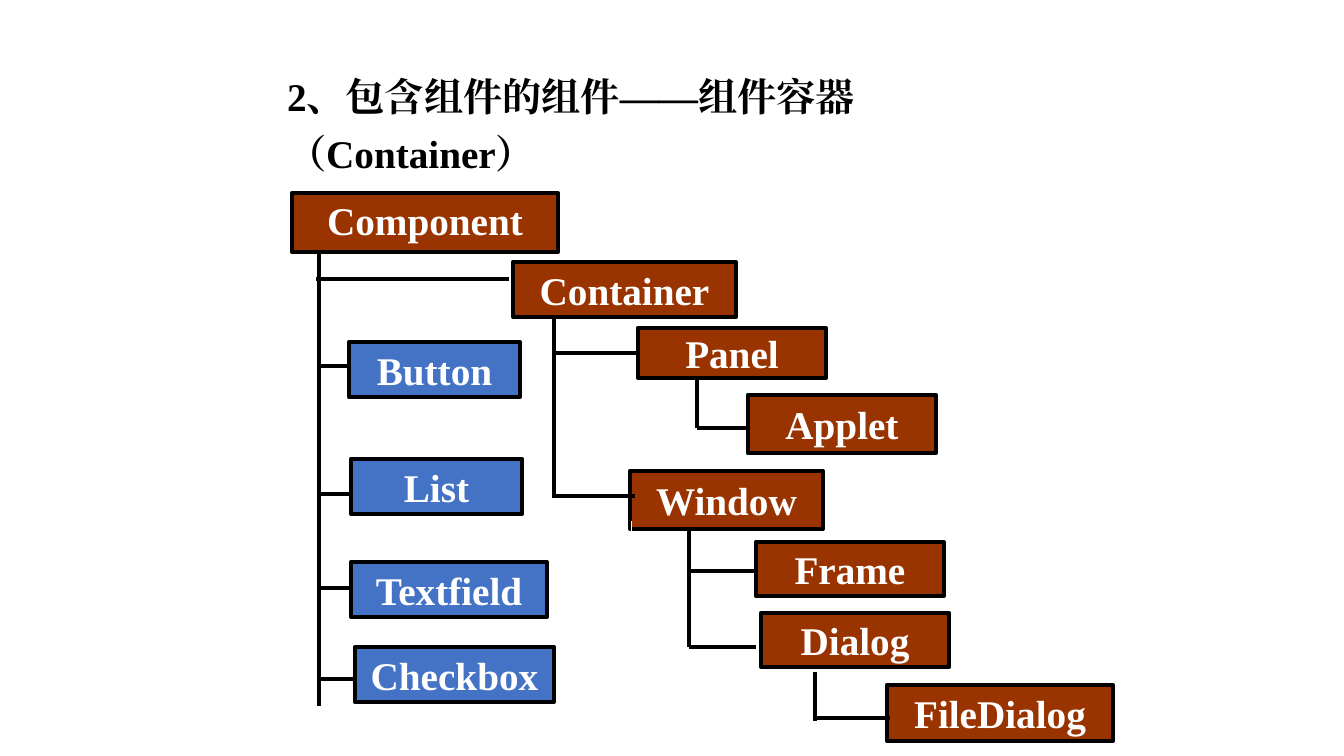
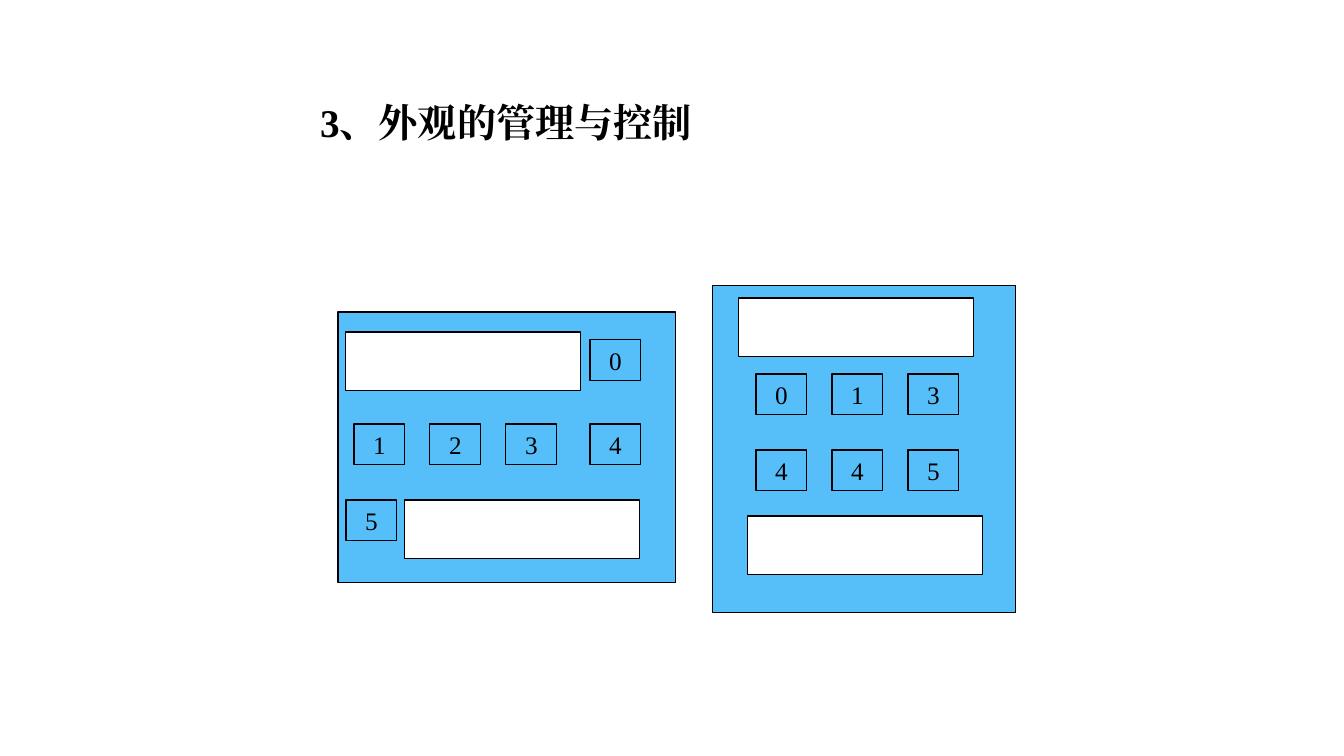
from dataclasses import dataclass

import pptx
import pptx.dml.color
import pptx.enum.shapes
import pptx.enum.text
import pptx.oxml.ns
import pptx.slide
import pptx.util
from lxml import etree

SCALE = 914400 / 100.8  # EMU in one pixel
FONT = "Times New Roman"
COLORS = {
    "black": "000000",
    "white": "FFFFFF",
    "brown": "993300",
    "blue": "4472C4",
    "sky": "56BFFA",
}


@dataclass(frozen=True)
class Box:
    """A rectangle in pixels with its label and look."""
    left: int
    top: int
    width: int
    height: int
    text: str = ""
    fill: str = "brown"
    line_width: float = 3
    text_color: str = "white"
    size: int = 28
    bold: bool = True
    spacing: float = 1.0


@dataclass(frozen=True)
class Line:
    """A straight line between two points in pixels."""
    x1: int
    y1: int
    x2: int
    y2: int
    color: str = "black"
    width: float = 3


def emu(pixels: float) -> int:
    """Turn pixels into EMU."""
    return round(pixels * SCALE)


def rgb(name: str) -> pptx.dml.color.RGBColor:
    """Look up a colour by name."""
    return pptx.dml.color.RGBColor.from_string(COLORS[name])


def write_text(shape, text: str, *, size: int, color: str, bold: bool = False,
               align: str = "CENTER", anchor: str = "MIDDLE",
               spacing: float = 1.0) -> None:
    """Put one formatted paragraph into a shape."""
    frame = shape.text_frame
    frame.word_wrap = True
    frame.auto_size = pptx.enum.text.MSO_AUTO_SIZE.NONE
    frame.vertical_anchor = pptx.enum.text.MSO_ANCHOR[anchor]
    paragraph = frame.paragraphs[0]
    paragraph.alignment = pptx.enum.text.PP_ALIGN[align]
    paragraph.line_spacing = spacing
    run = paragraph.add_run()
    run.text = text
    run.font.name = FONT
    run.font.size = pptx.util.Pt(size)
    run.font.bold = bold
    run.font.color.rgb = rgb(color)
    east_asian = etree.SubElement(run.font._element, pptx.oxml.ns.qn("a:ea"))
    east_asian.set("typeface", FONT)


def add_titled_slide(presentation, title: str, left: int, top: int,
                     width: int) -> pptx.slide.Slide:
    """Add a slide with the shared title style."""
    slide = presentation.slides.add_slide(presentation.slide_layouts[5])
    shape = slide.shapes.title
    shape.left, shape.top = emu(left), emu(top)
    shape.width, shape.height = emu(width), emu(63)
    write_text(shape, title, size=28, color="black", bold=True,
               align="LEFT", anchor="TOP", spacing=1.2)
    return slide


def draw_box(slide: pptx.slide.Slide, box: Box) -> None:
    """Draw a rectangle and its label."""
    shape = slide.shapes.add_shape(
        pptx.enum.shapes.MSO_SHAPE.RECTANGLE,
        emu(box.left), emu(box.top), emu(box.width), emu(box.height))
    shape.shadow.inherit = False
    shape.fill.solid()
    shape.fill.fore_color.rgb = rgb(box.fill)
    shape.line.color.rgb = rgb("black")
    shape.line.width = pptx.util.Pt(box.line_width)
    if box.text:
        write_text(shape, box.text, size=box.size, color=box.text_color,
                   bold=box.bold, spacing=box.spacing)


def draw_line(slide: pptx.slide.Slide, line: Line) -> None:
    """Draw a straight line without a shadow."""
    connector = slide.shapes.add_connector(
        pptx.enum.shapes.MSO_CONNECTOR.STRAIGHT,
        emu(line.x1), emu(line.y1), emu(line.x2), emu(line.y2))
    connector.line.color.rgb = rgb(line.color)
    connector.line.width = pptx.util.Pt(line.width)
    etree.SubElement(connector._element.spPr, pptx.oxml.ns.qn("a:effectLst"))


def panel(left: int, top: int, width: int, height: int) -> Box:
    """Describe the background of a sample window."""
    return Box(left, top, width, height, fill="sky", line_width=0.75)


def display(left: int, top: int) -> Box:
    """Describe an empty text field."""
    return Box(left, top, 235, 59, fill="white", line_width=0.75)


def key(left: int, top: int, text: str) -> Box:
    """Describe a small numbered button."""
    return Box(left, top, 51, 41, text, fill="sky", line_width=0.75,
               text_color="black", size=18, bold=False)


CLASSES = [
    Box(292, 193, 266, 59, "Component", spacing=0.9),
    Box(513, 262, 223, 55, "Container"),
    Box(638, 328, 188, 50, "Panel"),
    Box(748, 395, 188, 58, "Applet"),
    Box(630, 471, 193, 58, "Window"),
    Box(756, 542, 188, 54, "Frame"),
    Box(761, 613, 188, 54, "Dialog"),
    Box(887, 685, 226, 56, "FileDialog"),
    Box(349, 342, 171, 55, "Button", "blue"),
    Box(351, 459, 171, 55, "List", "blue"),
    Box(351, 562, 196, 55, "Textfield", "blue"),
    Box(355, 647, 199, 55, "Checkbox", "blue"),
]
TREE_LINES = [
    Line(319, 254, 319, 706),
    Line(316, 279, 509, 279),
    Line(318, 366, 347, 366),
    Line(319, 494, 349, 494),
    Line(319, 588, 351, 588),
    Line(319, 679, 355, 679),
    Line(554, 319, 554, 496),
    Line(554, 353, 638, 353),
    Line(552, 496, 635, 496),
    Line(697, 378, 697, 428),
    Line(697, 428, 748, 428),
    Line(632, 521, 632, 663, "white", 0.75),
    Line(689, 529, 689, 647),
    Line(689, 571, 756, 571),
    Line(689, 647, 756, 647),
    Line(815, 672, 815, 721),
    Line(815, 718, 890, 718),
]

KEY_STEP = 76
WIDE_WINDOW = [
    panel(338, 312, 338, 271),
    display(346, 332),
    key(590, 340, "0"),
    *(key(354 + KEY_STEP * column, 424, text)
      for column, text in enumerate("123")),
    key(590, 424, "4"),
    key(346, 500, "5"),
    display(405, 500),
]
TALL_WINDOW = [
    panel(713, 286, 303, 327),
    display(739, 298),
    *(key(756 + KEY_STEP * column, 374 + KEY_STEP * row, text)
      for row, labels in enumerate(("013", "445"))
      for column, text in enumerate(labels)),
    display(748, 516),
]


def main() -> None:
    """Build and save both slides."""
    presentation = pptx.Presentation()
    presentation.slide_width = emu(1344)
    presentation.slide_height = emu(756)

    slide = add_titled_slide(
        presentation, "2、包含组件的组件——组件容器（Container）", 277, 58, 835)
    for box in CLASSES:
        draw_box(slide, box)
    for line in TREE_LINES:
        draw_line(slide, line)

    slide = add_titled_slide(presentation, "3、外观的管理与控制", 310, 84, 396)
    for box in WIDE_WINDOW + TALL_WINDOW:
        draw_box(slide, box)

    presentation.save("out.pptx")


main()
